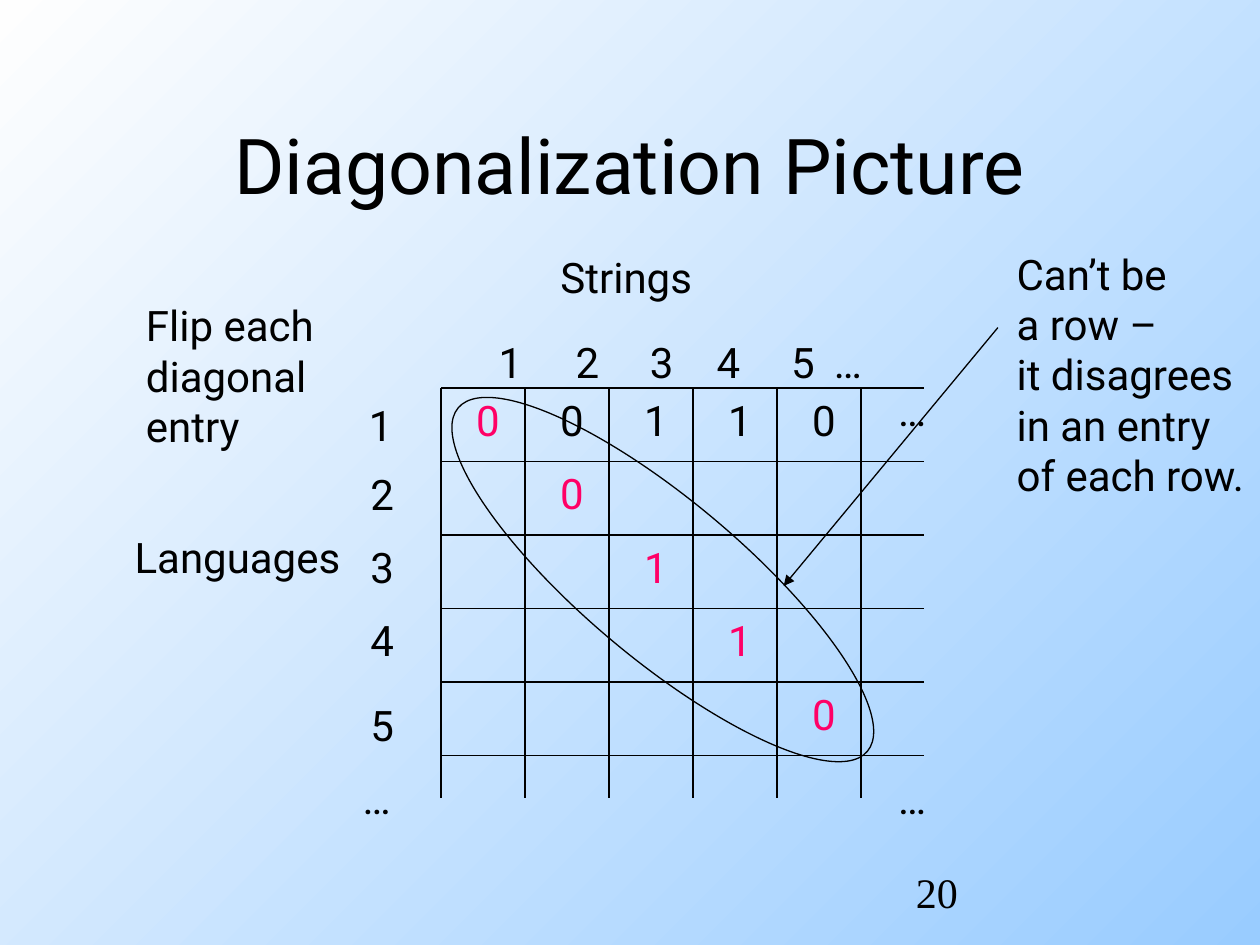
import pptx
import pptx.dml.color
import pptx.enum.shapes
import pptx.enum.text
import pptx.oxml
import pptx.oxml.ns
import pptx.util

Inches, Pt = pptx.util.Inches, pptx.util.Pt
ALIGN = pptx.enum.text.PP_ALIGN
ANCHOR = pptx.enum.text.MSO_ANCHOR

# Content
TITLE = "Diagonalization Picture"
HEADS = ["1", "2", "3", "4", "5", "…"]
TABS = [0.61, 1.2, 1.73, 2.32, 2.66]
ROWS = [("1", 2.83, 3.12), ("2", 2.84, 3.67), ("3", 2.84, 4.25),
        ("4", 2.84, 4.83), ("5", 2.84, 5.5)]
BITS = ["0", "0", "1", "1", "0"]
DIAG = ["0", "0", "1", "1", "0"]
DOTS = [(2.78, 6.08), (7.03, 3), (7.03, 6.08)]
NOTES = [
    (["Strings"], 4.35, 1.95, 1.3, 0.5),
    (["Languages"], 0.97, 4.17, 1.92, 0.5),
    (["Flip each", "diagonal", "entry"], 1.06, 2.33, 1.58, 1.3),
    (["Can’t be", "a row –", "it disagrees", "in an entry", "of each row."],
     7.97, 1.92, 2.12, 2.1),
]
BLACK, PINK = "000000", "FF0066"

# Grid: five full columns and rows, open at the right and bottom
LEFT, TOP, RIGHT, BASE = 3.5, 3.08, 7.33, 6.33
COL, ROW, COUNT = 2 / 3, 7 / 12, 5


def color(code):
    return pptx.dml.color.RGBColor.from_string(code)


def write(text, x, y, w=0.39, h=0.5, size=24, font="Roboto", ink=BLACK,
          align=ALIGN.LEFT, anchor=ANCHOR.TOP):
    box = slide.shapes.add_textbox(Inches(x), Inches(y), Inches(w), Inches(h))
    frame = box.text_frame
    frame.word_wrap = True
    frame.vertical_anchor = anchor
    frame.text = text
    for para in frame.paragraphs:
        para.alignment = align
        for run in para.runs:
            run.font.size = Pt(size)
            run.font.name = font
            run.font.color.rgb = color(ink)
    return box


def child(parent, tag, **attrs):
    node = pptx.oxml.parse_xml(f"<{tag} {pptx.oxml.ns.nsdecls('a')}/>")
    for key, value in attrs.items():
        node.set(key, str(value))
    parent.append(node)
    return node


def rule(x1, y1, x2, y2, arrow=False):
    line = slide.shapes.add_connector(
        pptx.enum.shapes.MSO_CONNECTOR.STRAIGHT,
        Inches(x1), Inches(y1), Inches(x2), Inches(y2))
    line.line.color.rgb = color(BLACK)
    line.line.width = Pt(0.75)
    if arrow:
        child(line.line._get_or_add_ln(), "a:tailEnd", type="triangle")
    child(line._element.spPr, "a:effectLst")


deck = pptx.Presentation()
deck.slide_width, deck.slide_height = Inches(10), Inches(7.5)
slide = deck.slides.add_slide(deck.slide_layouts[6])

# Background
fill = slide.background.fill
fill.gradient()
fill.gradient_angle = 135
for stop, code in zip(fill.gradient_stops, ["99CCFF", "FEFEFE"]):
    stop.color.rgb = color(code)

# Title
write(TITLE, 0.75, 0.67, 8.5, 1.25, size=44, align=ALIGN.CENTER,
      anchor=ANCHOR.MIDDLE)

# Grid lines
for i in range(COUNT + 1):
    x, y = LEFT + i * COL, TOP + i * ROW
    rule(LEFT, y, RIGHT, y)
    rule(x, TOP, x, BASE)

# Column heads on tab stops, then row heads
heads = write("\t".join(HEADS), 3.86, 2.62, 3.23)
props = heads.text_frame.paragraphs[0]._p.get_or_add_pPr()
stops = child(props, "a:tabLst")
for pos in TABS:
    child(stops, "a:tab", pos=Inches(pos), algn="l")
for text, x, y in ROWS:
    write(text, x, y)

# First row in black, diagonal in pink
for i in range(COUNT):
    x = LEFT + i * COL + 0.18
    if i:
        write(BITS[i], x, TOP)
    write(DIAG[i], x, TOP + i * ROW, ink=PINK)
for x, y in DOTS:
    write("…", x, y, w=0.46)

# Labels and notes
for lines, x, y, w, h in NOTES:
    write("\n".join(lines), x, y, w, h)

# Ring round the diagonal, with its arrow
ring = slide.shapes.add_shape(
    pptx.enum.shapes.MSO_SHAPE.OVAL,
    Inches(3.14), Inches(3.97), Inches(4.24), Inches(1.26))
ring.rotation = 40
ring.shadow.inherit = False
ring.fill.background()
ring.line.color.rgb = color(BLACK)
ring.line.width = Pt(0.75)
rule(7.92, 2.6, 6.22, 4.65, arrow=True)

# Page number
write("20", 7.17, 6.83, 2.08, 0.49, font="Times New Roman")

deck.save("out.pptx")
